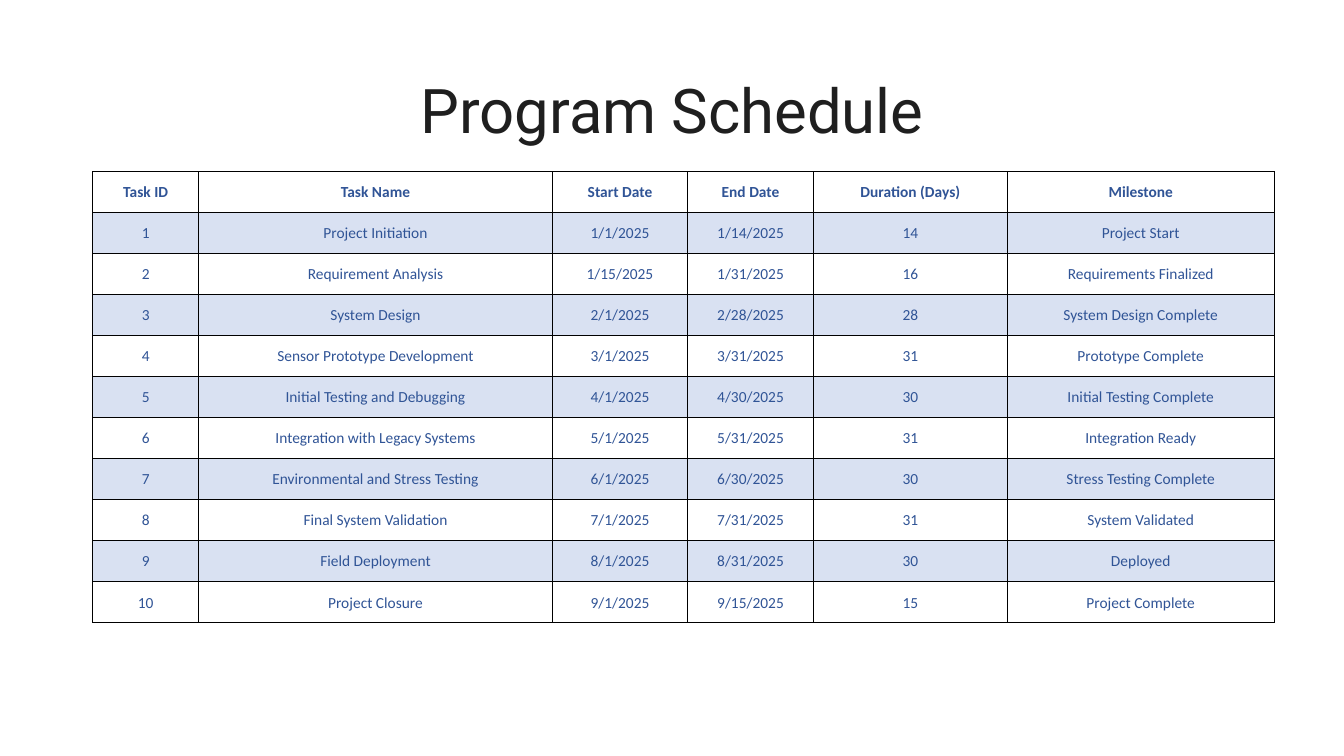
"""Build the Program Schedule slide: a title above a banded task table."""
import lxml.etree
import pptx
import pptx.dml.color
import pptx.enum.text
import pptx.oxml.ns
import pptx.util

TITLE_COLOR = pptx.dml.color.RGBColor(0x1F, 0x1F, 0x1F)
TEXT_COLOR = pptx.dml.color.RGBColor(0x30, 0x54, 0x96)
BAND_COLOR = pptx.dml.color.RGBColor(0xD9, 0xE1, 0xF2)
BORDER_COLOR = pptx.dml.color.RGBColor(0x00, 0x00, 0x00)

COLUMN_WIDTHS = [1.05, 3.51, 1.34, 1.25, 1.92, 2.65]
ROW_HEIGHT = pptx.util.Inches(4.48 / 11)
LEFT = pptx.util.Inches(0.92)
CELL_MARGIN = pptx.util.Inches(0.01)

SCHEDULE = [
    ("Task ID", "Task Name", "Start Date", "End Date", "Duration (Days)", "Milestone"),
    ("1", "Project Initiation", "1/1/2025", "1/14/2025", "14", "Project Start"),
    ("2", "Requirement Analysis", "1/15/2025", "1/31/2025", "16", "Requirements Finalized"),
    ("3", "System Design", "2/1/2025", "2/28/2025", "28", "System Design Complete"),
    ("4", "Sensor Prototype Development", "3/1/2025", "3/31/2025", "31", "Prototype Complete"),
    ("5", "Initial Testing and Debugging", "4/1/2025", "4/30/2025", "30", "Initial Testing Complete"),
    ("6", "Integration with Legacy Systems", "5/1/2025", "5/31/2025", "31", "Integration Ready"),
    ("7", "Environmental and Stress Testing", "6/1/2025", "6/30/2025", "30", "Stress Testing Complete"),
    ("8", "Final System Validation", "7/1/2025", "7/31/2025", "31", "System Validated"),
    ("9", "Field Deployment", "8/1/2025", "8/31/2025", "30", "Deployed"),
    ("10", "Project Closure", "9/1/2025", "9/15/2025", "15", "Project Complete"),
]


def add_borders(cell):
    """Draw a thin solid line on all four sides of a cell."""
    properties = cell._tc.get_or_add_tcPr()
    for side in ("a:lnL", "a:lnR", "a:lnT", "a:lnB"):
        line = lxml.etree.SubElement(
            properties, pptx.oxml.ns.qn(side), w=str(pptx.util.Pt(0.5)))
        fill = lxml.etree.SubElement(line, pptx.oxml.ns.qn("a:solidFill"))
        lxml.etree.SubElement(fill, pptx.oxml.ns.qn("a:srgbClr"), val=str(BORDER_COLOR))


presentation = pptx.Presentation()
presentation.slide_width = pptx.util.Inches(13.33)
presentation.slide_height = pptx.util.Inches(7.5)
slide = presentation.slides.add_slide(presentation.slide_layouts.get_by_name("Title Only"))

title = slide.shapes.title
title.left, title.top = LEFT, pptx.util.Inches(0.4)
title.width, title.height = pptx.util.Inches(11.5), pptx.util.Inches(1.45)
title.text_frame.text = "Program Schedule"
title.text_frame.vertical_anchor = pptx.enum.text.MSO_ANCHOR.MIDDLE
paragraph = title.text_frame.paragraphs[0]
paragraph.alignment = pptx.enum.text.PP_ALIGN.CENTER
paragraph.line_spacing = 0.9
paragraph.font.name = "Roboto"
paragraph.font.size = pptx.util.Pt(44)
paragraph.font.color.rgb = TITLE_COLOR

table = slide.shapes.add_table(
    len(SCHEDULE), len(COLUMN_WIDTHS), LEFT, pptx.util.Inches(1.7),
    pptx.util.Inches(sum(COLUMN_WIDTHS)), ROW_HEIGHT * len(SCHEDULE)).table
table.first_row = False
table.horz_banding = False
for column, width in zip(table.columns, COLUMN_WIDTHS):
    column.width = pptx.util.Inches(width)

for row_index, task in enumerate(SCHEDULE):
    table.rows[row_index].height = ROW_HEIGHT
    for column_index, text in enumerate(task):
        cell = table.cell(row_index, column_index)
        cell.text = text
        cell.vertical_anchor = pptx.enum.text.MSO_ANCHOR.MIDDLE
        cell.margin_left = cell.margin_right = cell.margin_top = CELL_MARGIN
        cell.margin_bottom = 0
        add_borders(cell)
        if row_index % 2:
            cell.fill.solid()
            cell.fill.fore_color.rgb = BAND_COLOR
        else:
            cell.fill.background()
        paragraph = cell.text_frame.paragraphs[0]
        paragraph.alignment = pptx.enum.text.PP_ALIGN.CENTER
        paragraph.font.name = "Calibri"
        paragraph.font.size = pptx.util.Pt(11)
        paragraph.font.bold = row_index == 0
        paragraph.font.color.rgb = TEXT_COLOR

presentation.save("out.pptx")
